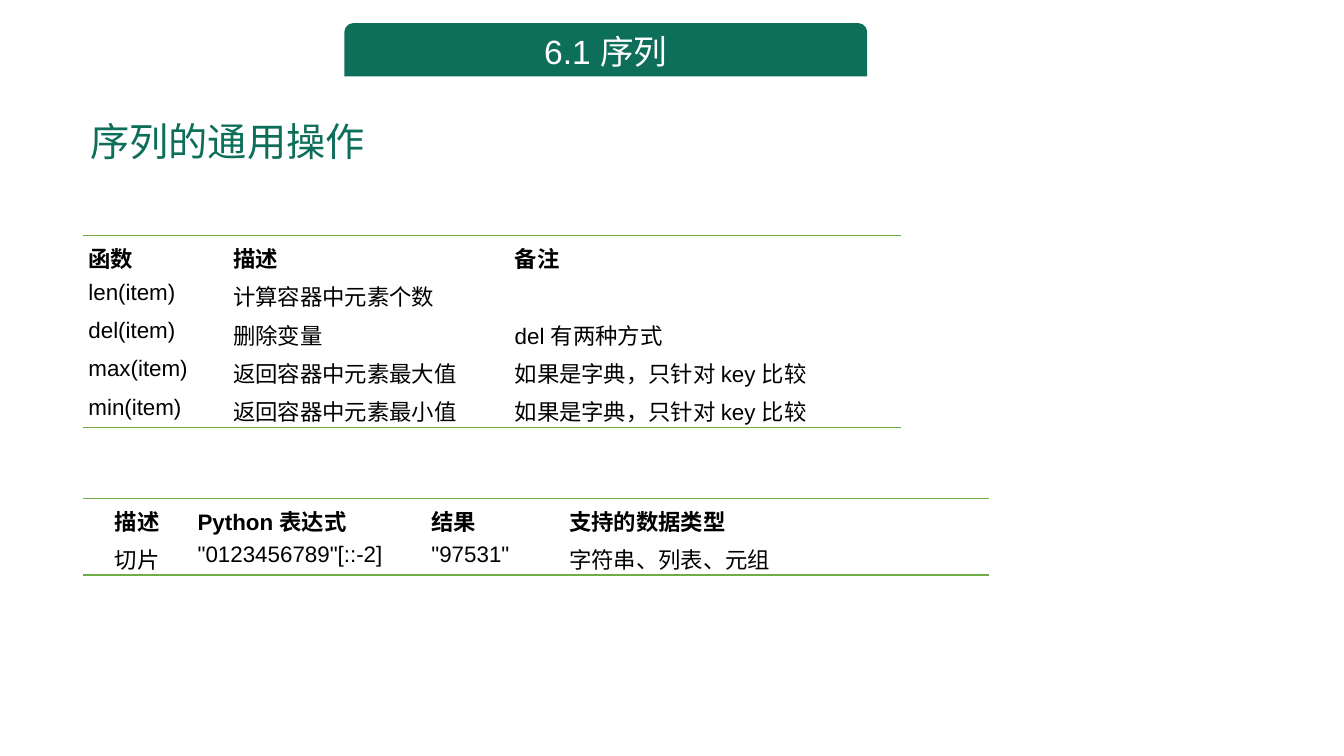
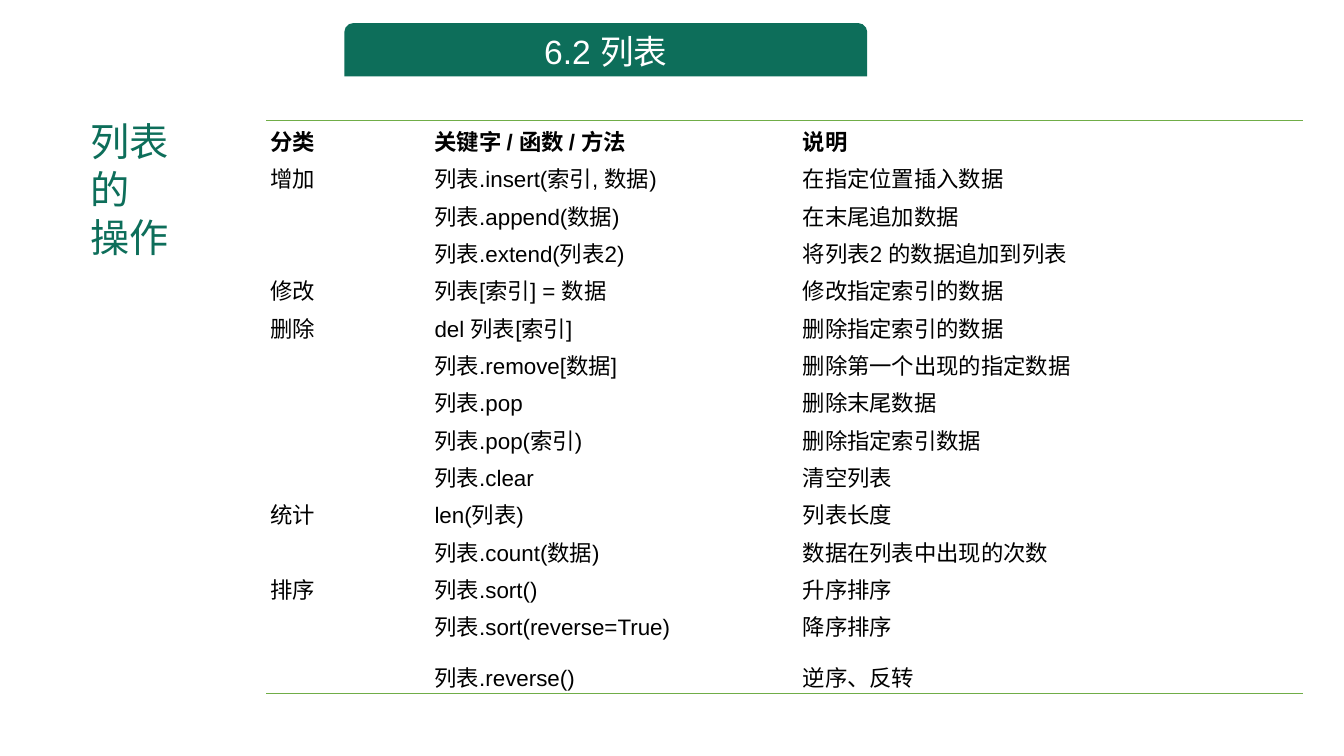
from dataclasses import dataclass
from typing import Optional

from lxml.etree import SubElement
from pptx import Presentation
from pptx.dml.color import RGBColor
from pptx.enum.shapes import MSO_SHAPE as Shape
from pptx.enum.text import MSO_ANCHOR as Anchor, MSO_AUTO_SIZE as AutoSize, PP_ALIGN as Align
from pptx.oxml.ns import qn
from pptx.util import Pt

# Shared style
GREEN = RGBColor(0x0D, 0x6E, 0x5A)
RULE_GREEN = RGBColor(0x70, 0xAD, 0x47)
BLACK = RGBColor(0, 0, 0)
WHITE = RGBColor(0xFF, 0xFF, 0xFF)
LATIN_FONT = "Arial"
CHINESE_FONT = "Noto Sans CJK SC"
PLAIN_TABLE_STYLE = "{2D5ABB26-0587-4C30-8999-92F81FD0307C}"
TITLE_ONLY = 5


@dataclass(frozen=True)
class TableSpec:
    left: float
    top: float
    columns: tuple[float, ...]
    row_height: float
    inset: float
    rows: tuple[tuple[str, ...], ...]
    tall_row: Optional[int] = None
    tall_height: float = 36
    centred_column: Optional[int] = None


@dataclass(frozen=True)
class SlideSpec:
    section: str
    title: tuple[str, ...]
    tables: tuple[TableSpec, ...]


SLIDES = (
    SlideSpec("6.1 序列", ("序列的通用操作",), (
        TableSpec(59, 168.5, (103.5, 201, 280), 27.4, 4.2, (
            ("函数", "描述", "备注"),
            ("len(item)", "计算容器中元素个数", ""),
            ("del(item)", "删除变量", "del 有两种方式"),
            ("max(item)", "返回容器中元素最大值", "如果是字典，只针对 key 比较"),
            ("min(item)", "返回容器中元素最小值", "如果是字典，只针对 key 比较"),
        )),
        TableSpec(59, 356, (78, 167, 98.5, 304), 27.4, 4.2, (
            ("描述", "Python 表达式", "结果", "支持的数据类型"),
            ("切片", '"0123456789"[::-2]', '"97531"', "字符串、列表、元组"),
        ), centred_column=0),
    )),
    SlideSpec("6.2 列表", ("列表", "的", "操作"), (
        TableSpec(190, 86, (117.5, 263, 360.5), 26.7, 2.9, (
            ("分类", "关键字 / 函数 / 方法", "说明"),
            ("增加", "列表.insert(索引, 数据)", "在指定位置插入数据"),
            ("", "列表.append(数据)", "在末尾追加数据"),
            ("", "列表.extend(列表2)", "将列表2 的数据追加到列表"),
            ("修改", "列表[索引] = 数据", "修改指定索引的数据"),
            ("删除", "del 列表[索引]", "删除指定索引的数据"),
            ("", "列表.remove[数据]", "删除第一个出现的指定数据"),
            ("", "列表.pop", "删除末尾数据"),
            ("", "列表.pop(索引)", "删除指定索引数据"),
            ("", "列表.clear", "清空列表"),
            ("统计", "len(列表)", "列表长度"),
            ("", "列表.count(数据)", "数据在列表中出现的次数"),
            ("排序", "列表.sort()", "升序排序"),
            ("", "列表.sort(reverse=True)", "降序排序"),
            ("", "列表.reverse()", "逆序、反转"),
        ), tall_row=13),
    )),
)


def write_text(frame, *lines: str, size: float, color: RGBColor = BLACK,
               font: str = LATIN_FONT, bold: bool = False,
               align: Align = Align.LEFT, line_spacing=None) -> None:
    """Write one paragraph per line in a single format."""
    for index, line in enumerate(lines):
        paragraph = frame.add_paragraph() if index else frame.paragraphs[0]
        paragraph.alignment = align
        if line_spacing is not None:
            paragraph.line_spacing = line_spacing
        run = paragraph.add_run()
        run.text = line
        run.font.size = Pt(size)
        run.font.bold = bold
        run.font.name = font
        run.font.color.rgb = color
        east_asian = SubElement(run.font._element, qn("a:ea"))
        east_asian.set("typeface", CHINESE_FONT)


def set_margins(target, left: float, top: float, right: float, bottom: float) -> None:
    target.margin_left, target.margin_top = Pt(left), Pt(top)
    target.margin_right, target.margin_bottom = Pt(right), Pt(bottom)


def add_rule(cell, edge: str) -> None:
    """Draw a green border on one edge of a cell."""
    line = SubElement(cell._tc.get_or_add_tcPr(), qn(f"a:{edge}"), w=str(Pt(1)))
    fill = SubElement(line, qn("a:solidFill"))
    SubElement(fill, qn("a:srgbClr"), val=str(RULE_GREEN))


def add_section_band(slide, text: str) -> None:
    band = slide.shapes.add_shape(Shape.ROUND_2_SAME_RECTANGLE,
                                  Pt(246), Pt(16.5), Pt(373.5), Pt(38))
    band.shadow.inherit = False
    band.fill.solid()
    band.fill.fore_color.rgb = GREEN
    band.line.fill.background()
    frame = band.text_frame
    frame.vertical_anchor = Anchor.MIDDLE
    set_margins(frame, 7.2, 0, 7.2, 0)
    write_text(frame, text, size=24, color=WHITE, align=Align.CENTER)


def format_title(slide, lines: tuple[str, ...]) -> None:
    title = slide.shapes.title
    title.left, title.top, title.width, title.height = Pt(57.5), Pt(76.5), Pt(490), Pt(42.5)
    frame = title.text_frame
    frame.word_wrap = True
    frame.auto_size = AutoSize.NONE
    frame.vertical_anchor = Anchor.TOP
    set_margins(frame, 7.2, 6.5, 7.2, 0)
    write_text(frame, *lines, size=28, color=GREEN, font=CHINESE_FONT,
               line_spacing=Pt(34.3))


def add_ruled_table(slide, spec: TableSpec) -> None:
    heights = [spec.tall_height if index == spec.tall_row else spec.row_height
               for index in range(len(spec.rows))]
    table = slide.shapes.add_table(
        len(spec.rows), len(spec.columns), Pt(spec.left), Pt(spec.top),
        Pt(sum(spec.columns)), Pt(sum(heights))).table
    table.horz_banding = False
    table._tbl.tblPr.find(qn("a:tableStyleId")).text = PLAIN_TABLE_STYLE
    for column, width in zip(table.columns, spec.columns):
        column.width = Pt(width)
    for row_index, (values, height) in enumerate(zip(spec.rows, heights)):
        table.rows[row_index].height = Pt(height)
        for column_index, value in enumerate(values):
            cell = table.cell(row_index, column_index)
            set_margins(cell, spec.inset, spec.inset, spec.inset, 0)
            if row_index == 0:
                add_rule(cell, "lnT")
            if row_index == len(spec.rows) - 1:
                add_rule(cell, "lnB")
            cell.fill.background()
            if value:
                centred = column_index == spec.centred_column
                write_text(cell.text_frame, value, size=16, bold=row_index == 0,
                           align=Align.CENTER if centred else Align.LEFT)


def main() -> None:
    presentation = Presentation()
    presentation.slide_width, presentation.slide_height = Pt(960), Pt(540)
    for spec in SLIDES:
        slide = presentation.slides.add_slide(presentation.slide_layouts[TITLE_ONLY])
        add_section_band(slide, spec.section)
        format_title(slide, spec.title)
        for table in spec.tables:
            add_ruled_table(slide, table)
    presentation.save("out.pptx")


if __name__ == "__main__":
    main()
